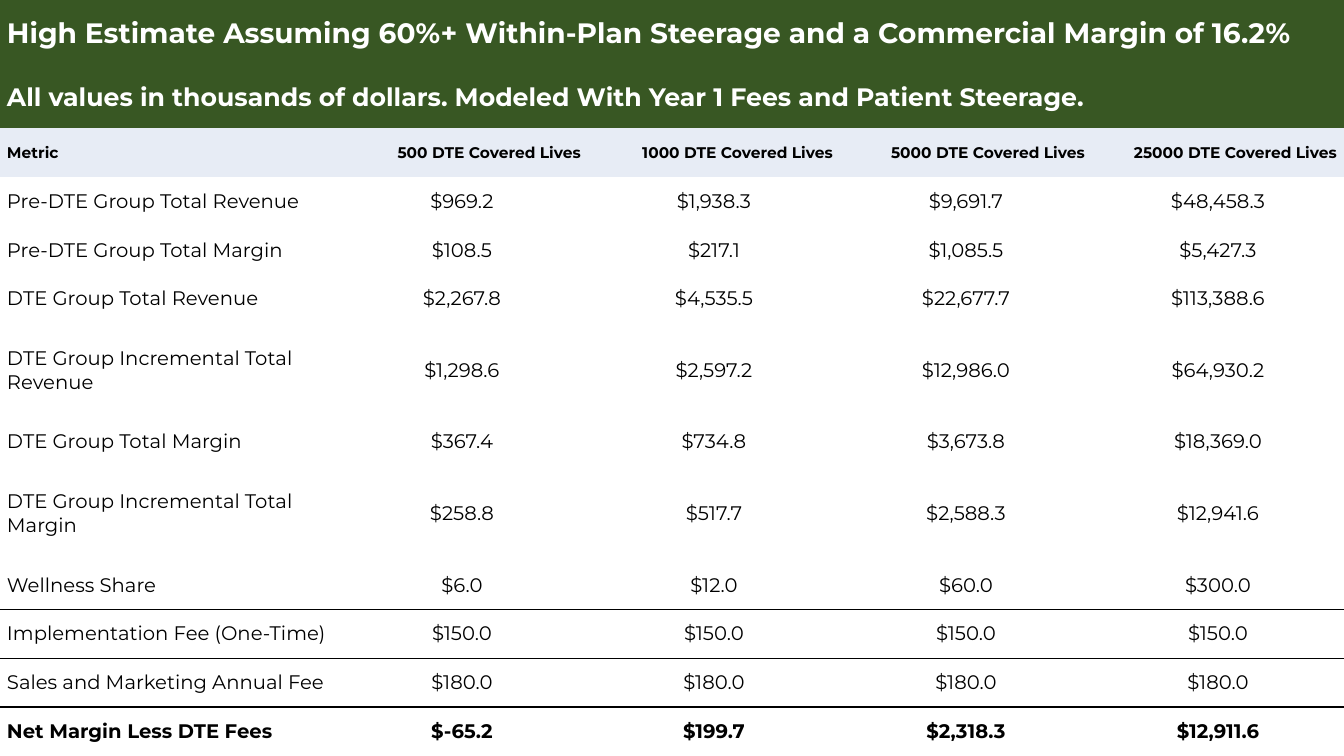
import lxml.etree
import pptx
import pptx.dml.color
import pptx.enum.text
import pptx.oxml.ns
import pptx.util

COLORS = {"banner": "385723", "header": "E7ECF5", "white": "FFFFFF", "black": "000000"}
FONT = "Montserrat"
NO_STYLE = "{2D5ABB26-0587-4C30-8999-92F81FD0307C}"
ALIGN = pptx.enum.text.PP_ALIGN

FORMATS = {
    "title": {"size": 20, "bold": True, "color": "white", "fill": "banner"},
    "subtitle": {"size": 18, "bold": True, "color": "white", "fill": "banner"},
    "header": {"size": 11, "bold": True, "color": "black", "fill": "header"},
    "body": {"size": 14, "bold": False, "color": "black", "fill": None},
    "total": {"size": 14, "bold": True, "color": "black", "fill": None},
}

BANNERS = [
    ("title", 48.3, "High Estimate Assuming 60%+ Within-Plan Steerage and a Commercial Margin of 16.2%"),
    ("subtitle", 43.2, "All values in thousands of dollars. Modeled With Year 1 Fees and Patient Steerage."),
]
LIVES = ["500", "1000", "5000", "25000"]
METRICS = [
    ("Pre-DTE Group Total Revenue", "$969.2", "$1,938.3", "$9,691.7", "$48,458.3"),
    ("Pre-DTE Group Total Margin", "$108.5", "$217.1", "$1,085.5", "$5,427.3"),
    ("DTE Group Total Revenue", "$2,267.8", "$4,535.5", "$22,677.7", "$113,388.6"),
    ("DTE Group Incremental Total Revenue", "$1,298.6", "$2,597.2", "$12,986.0", "$64,930.2"),
    ("DTE Group Total Margin", "$367.4", "$734.8", "$3,673.8", "$18,369.0"),
    ("DTE Group Incremental Total Margin", "$258.8", "$517.7", "$2,588.3", "$12,941.6"),
    ("Wellness Share", "$6.0", "$12.0", "$60.0", "$300.0"),
    ("Implementation Fee (One-Time)", "$150.0", "$150.0", "$150.0", "$150.0"),
    ("Sales and Marketing Annual Fee", "$180.0", "$180.0", "$180.0", "$180.0"),
    ("Net Margin Less DTE Fees", "$-65.2", "$199.7", "$2,318.3", "$12,911.6"),
]
RULED_METRICS = ["Wellness Share", "Sales and Marketing Annual Fee"]
COLUMN_WIDTHS = [240, 180, 180, 180, 180]
ROW_HEIGHT = 34.85
TALL_ROW_HEIGHT = 67.4
TEXT_MARGIN = 5


class SlideBuilder:
    def __init__(self, slide):
        self.slide = slide

    def color(self, name):
        return pptx.dml.color.RGBColor.from_string(COLORS[name])

    def add_table(self, heights, widths):
        size = [pptx.util.Pt(sum(widths)), pptx.util.Pt(sum(heights))]
        table = self.slide.shapes.add_table(len(heights), len(widths), 0, 0, *size).table
        table.first_row = False
        table.horz_banding = False
        table._tbl.tblPr.find(pptx.oxml.ns.qn("a:tableStyleId")).text = NO_STYLE
        for row, height in zip(table.rows, heights):
            row.height = pptx.util.Pt(height)
        for column, width in zip(table.columns, widths):
            column.width = pptx.util.Pt(width)
        return table

    def fill_cell(self, cell, text, style, alignment=ALIGN.LEFT):
        cell_values = {side: 0 for side in ("margin_left", "margin_right", "margin_top", "margin_bottom")}
        cell_values["vertical_anchor"] = pptx.enum.text.MSO_ANCHOR.MIDDLE
        for name, value in cell_values.items():
            setattr(cell, name, value)
        if style["fill"]:
            cell.fill.solid()
            cell.fill.fore_color.rgb = self.color(style["fill"])
        else:
            cell.fill.background()
        paragraph = cell.text_frame.paragraphs[0]
        paragraph.alignment = alignment
        for side in ("marL", "marR"):
            paragraph._p.get_or_add_pPr().set(side, str(pptx.util.Pt(TEXT_MARGIN)))
        run = paragraph.add_run()
        run.text = text
        font_values = {"name": FONT, "size": pptx.util.Pt(style["size"]), "bold": style["bold"]}
        for name, value in font_values.items():
            setattr(run.font, name, value)
        run.font.color.rgb = self.color(style["color"])

    def add_border(self, cell, side):
        qn = pptx.oxml.ns.qn
        line = lxml.etree.Element(qn("a:" + side), w=str(pptx.util.Pt(1)))
        fill = lxml.etree.SubElement(line, qn("a:solidFill"))
        lxml.etree.SubElement(fill, qn("a:srgbClr"), val=COLORS["black"])
        cell._tc.get_or_add_tcPr().insert(0, line)

    def add_rule_below(self, table, row):
        for column in range(len(table.columns)):
            self.add_border(table.cell(row, column), "lnB")
            self.add_border(table.cell(row + 1, column), "lnT")


def main():
    presentation = pptx.Presentation()
    presentation.slide_width = pptx.util.Pt(960)
    presentation.slide_height = pptx.util.Pt(540)
    builder = SlideBuilder(presentation.slides.add_slide(presentation.slide_layouts[6]))

    heights = [height for _, height, _ in BANNERS] + [ROW_HEIGHT]
    heights += [TALL_ROW_HEIGHT if "Incremental" in metric[0] else ROW_HEIGHT for metric in METRICS]
    table = builder.add_table(heights, COLUMN_WIDTHS)

    for row, (style, _, text) in enumerate(BANNERS):
        table.cell(row, 0).merge(table.cell(row, len(COLUMN_WIDTHS) - 1))
        builder.fill_cell(table.cell(row, 0), text, FORMATS[style])

    header = ["Metric"] + [f"{lives} DTE Covered Lives" for lives in LIVES]
    rows = [(header, "header", ALIGN.RIGHT)]
    rows += [(metric, "body", ALIGN.CENTER) for metric in METRICS[:-1]]
    rows.append((METRICS[-1], "total", ALIGN.CENTER))
    for row, (texts, style, alignment) in enumerate(rows, len(BANNERS)):
        for column, text in enumerate(texts):
            cell_alignment = alignment if column else ALIGN.LEFT
            builder.fill_cell(table.cell(row, column), text, FORMATS[style], cell_alignment)
        if texts[0] in RULED_METRICS:
            builder.add_rule_below(table, row)

    presentation.save("out.pptx")


if __name__ == "__main__":
    main()
